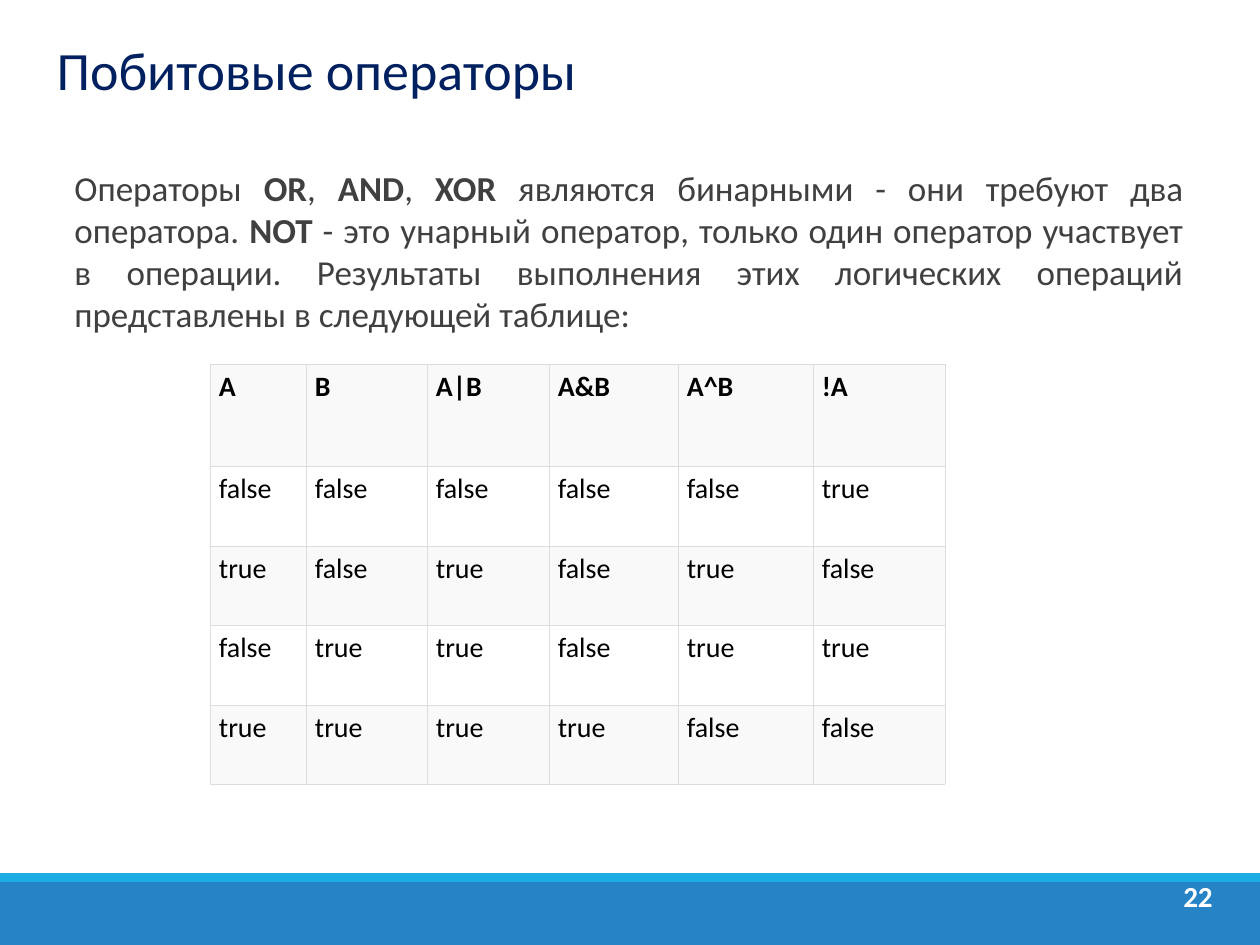
from lxml.etree import SubElement
from pptx import Presentation
from pptx.dml.color import RGBColor
from pptx.enum.shapes import MSO_SHAPE as Shape
from pptx.enum.text import MSO_ANCHOR as Anchor, MSO_AUTO_SIZE as AutoSize, PP_ALIGN as Align
from pptx.oxml.ns import qn
from pptx.util import Emu, Pt

PX = 914400 / 126


def px(length):
    return Emu(round(length * PX))


def color(value):
    return RGBColor.from_string(value)


def add_span(para, text, *, size, ink, bold=False, font="Calibri"):
    span = para.add_run()
    span.text = text
    span.font.name = font
    span.font.size = Pt(size)
    span.font.bold = bold
    span.font.color.rgb = color(ink)


class SlideWriter:
    title_ink = "002060"
    body_ink = "404040"
    table_ink = "000000"
    border = "DDDDDD"
    bands = ("F9F9F9", "FFFFFF")

    def __init__(self, page):
        self.page = page

    def bar(self, top, height, fill):
        bar = self.page.shapes.add_shape(Shape.RECTANGLE, 0, px(top), px(1260), px(height))
        bar.shadow.inherit = False
        bar.fill.solid()
        bar.fill.fore_color.rgb = color(fill)
        bar.line.fill.background()

    def title(self, left, top, width, height, text):
        title = self.page.shapes.title
        title.left, title.top = px(left), px(top)
        title.width, title.height = px(width), px(height)
        frame = title.text_frame
        frame.auto_size = AutoSize.NONE
        frame.vertical_anchor = Anchor.MIDDLE
        para = frame.paragraphs[0]
        para.alignment = Align.LEFT
        para.line_spacing = 0.8
        add_span(para, text, size=30.8, ink=self.title_ink)

    def text(self, left, top, width, height, spans, *, size, ink, align, spacing=1.0):
        box = self.page.shapes.add_textbox(px(left), px(top), px(width), px(height))
        box.text_frame.word_wrap = True
        para = box.text_frame.paragraphs[0]
        para.alignment = align
        para.line_spacing = spacing
        for text, bold in spans:
            add_span(para, text, size=size, ink=ink, bold=bold)

    def table(self, left, top, widths, heights, rows):
        frame = self.page.shapes.add_table(
            len(rows), len(widths), px(left), px(top), px(sum(widths)), px(sum(heights))
        )
        table = frame.table
        table.first_row = table.horz_banding = False
        for column, width in zip(table.columns, widths):
            column.width = px(width)
        for index, (row, height, values) in enumerate(zip(table.rows, heights, rows)):
            row.height = px(height)
            for cell, value in zip(row.cells, values):
                self.cell(cell, value, fill=self.bands[index % 2], bold=index == 0)

    def cell(self, cell, value, *, fill, bold):
        cell.margin_left = cell.margin_right = px(9)
        cell.margin_top = cell.margin_bottom = px(6)
        properties = cell._tc.get_or_add_tcPr()
        for side in ("lnL", "lnR", "lnT", "lnB"):
            line = SubElement(properties, qn(f"a:{side}"), w=str(Pt(0.34)))
            paint = SubElement(line, qn("a:solidFill"))
            SubElement(paint, qn("a:srgbClr"), val=self.border)
        cell.fill.solid()
        cell.fill.fore_color.rgb = color(fill)
        add_span(cell.text_frame.paragraphs[0], value, size=16, ink=self.table_ink, bold=bold)


def main():
    deck = Presentation()
    deck.slide_width, deck.slide_height = px(1260), px(945)
    writer = SlideWriter(deck.slides.add_slide(deck.slide_layouts[5]))

    writer.bar(882, 63, "2683C6")
    writer.bar(873, 9, "1CADE4")
    writer.title(44, 35, 1134, 79, "Побитовые операторы")
    writer.text(1168, 876, 60, 50, [("22", True)],
                size=16.6, ink="FFFFFF", align=Align.CENTER, spacing=0.9)

    explanation = [
        ("Операторы ", False),
        ("OR", True),
        (", ", False),
        ("AND", True),
        (", ", False),
        ("XOR", True),
        (" являются бинарными - они требуют два оператора. ", False),
        ("NOT", True),
        (" - это унарный оператор, только один оператор участвует в операции. "
         "Результаты выполнения этих логических операций представлены "
         "в следующей таблице:", False),
    ]
    writer.text(62, 160, 1134, 679, explanation,
                size=20, ink=writer.body_ink, align=Align.JUSTIFY)

    truth_table = [
        ("A", "B", "A|B", "A&B", "A^B", "!A"),
        ("false", "false", "false", "false", "false", "true"),
        ("true", "false", "true", "false", "true", "false"),
        ("false", "true", "true", "false", "true", "true"),
        ("true", "true", "true", "true", "false", "false"),
    ]
    writer.table(210, 364, [96, 121, 122, 129, 135, 132], [102, 80, 79, 80, 79], truth_table)

    deck.save("out.pptx")


if __name__ == "__main__":
    main()
